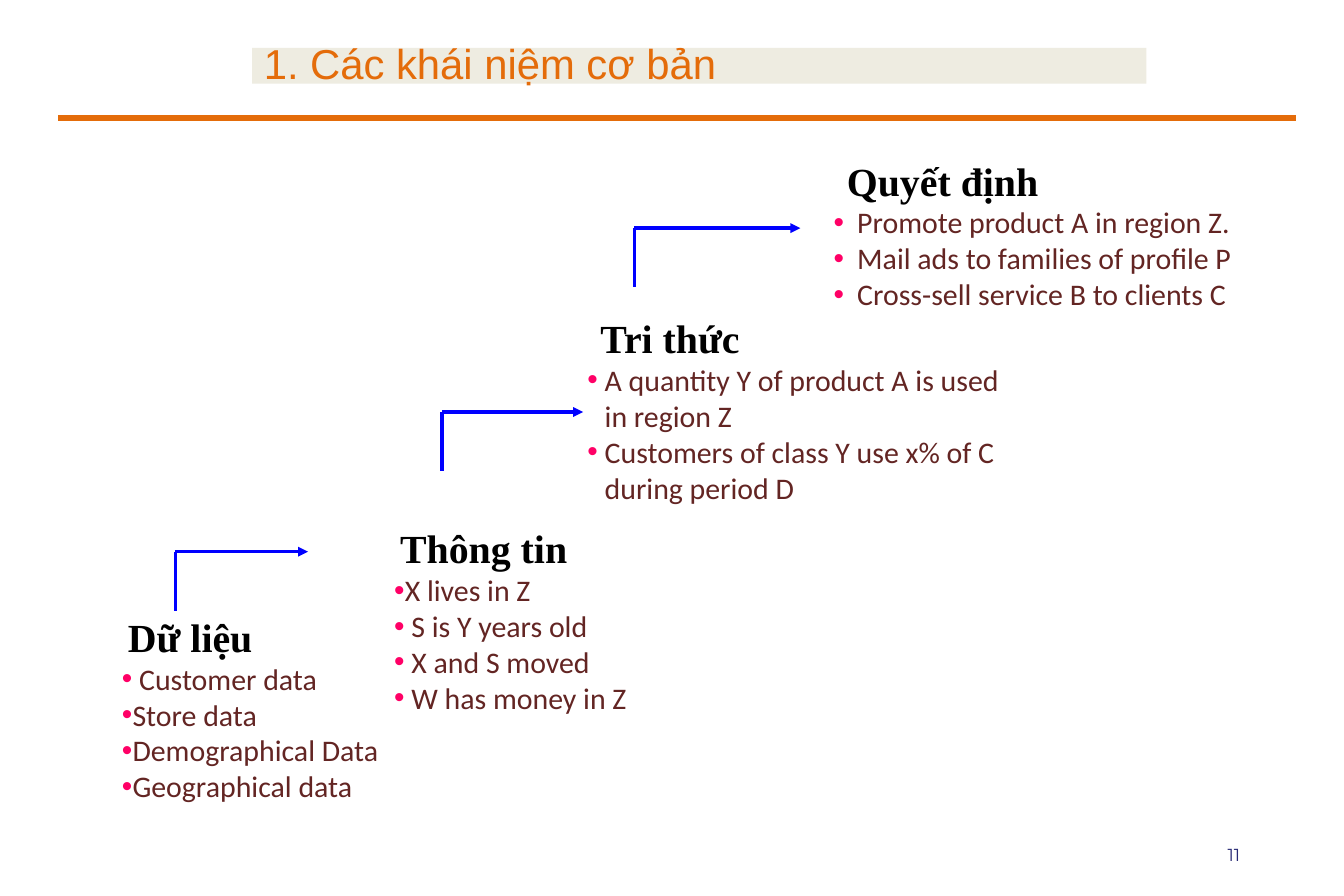
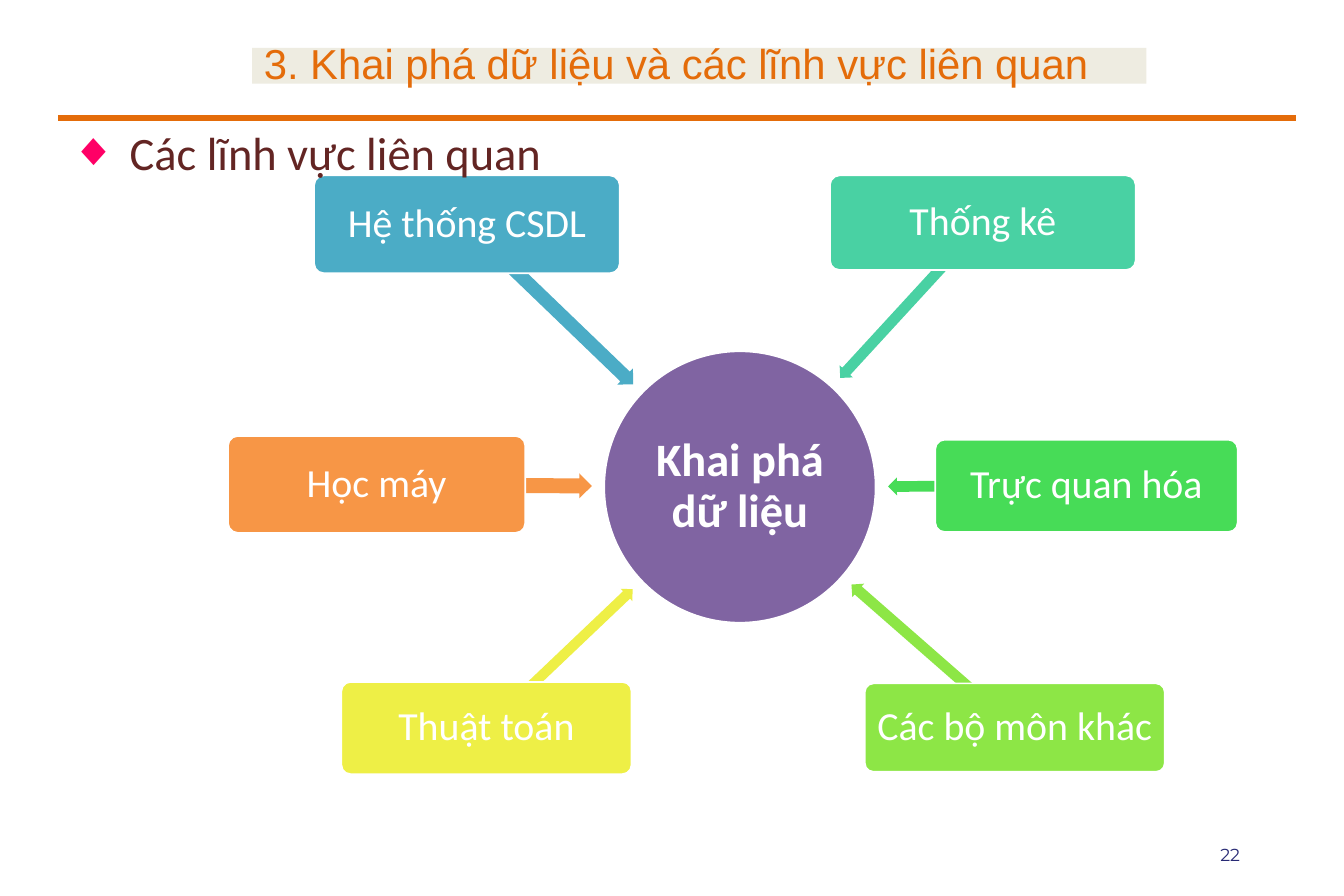
from math import atan2, degrees, hypot

from lxml import etree
from pptx import Presentation
from pptx.dml.color import RGBColor
from pptx.enum.shapes import MSO_CONNECTOR, MSO_SHAPE
from pptx.enum.text import MSO_ANCHOR, PP_ALIGN
from pptx.oxml.ns import qn
from pptx.util import Cm, Pt

RECT, ROUND = MSO_SHAPE.RECTANGLE, MSO_SHAPE.ROUNDED_RECTANGLE
OVAL, ARROW = MSO_SHAPE.OVAL, MSO_SHAPE.LEFT_ARROW
STRAIGHT = MSO_CONNECTOR.STRAIGHT
TOP, MIDDLE = MSO_ANCHOR.TOP, MSO_ANCHOR.MIDDLE
LEFT, CENTER, RIGHT = PP_ALIGN.LEFT, PP_ALIGN.CENTER, PP_ALIGN.RIGHT
JUSTIFY = PP_ALIGN.JUSTIFY

COLORS = {
    "orange": "E46C0A", "band": "EEECE1", "navy": "282A75", "black": "000000",
    "brown": "632523", "pink": "FF0066", "blue": "0000FF", "white": "FFFFFF",
    "purple": "8064A2", "teal": "4BACC6", "mint": "49D1A3", "green": "47DC57",
    "lime": "8DE646", "yellow": "EEEF46", "amber": "F79646",
}


def rgb(name):
    return RGBColor.from_string(COLORS[name])


class Deck:
    def __init__(self):
        self.prs = Presentation()
        self.prs.slide_width, self.prs.slide_height = Cm(28.58), Cm(19.05)
        self.s = None

    def slide(self, title, number):
        self.s = self.prs.slides.add_slide(self.prs.slide_layouts[6])
        tf = self.textbox(20.19, 17.65, 6.43, 1.02, MIDDLE)
        self.run(tf.paragraphs[0], number, "Montserrat", 10.5, "navy", align=RIGHT)
        sp = self.shape(RECT, 5.36, 1.02, 19.02, 0.76, "band")
        self.run(sp.text_frame.paragraphs[0], title, "Arial", 25.2, "orange",
                 align=JUSTIFY, spacing=0.9)
        self.line(1.24, 2.51, 27.56, 2.51, "orange", 4)

    def textbox(self, x, y, w, h, anchor=TOP):
        tf = self.s.shapes.add_textbox(Cm(x), Cm(y), Cm(w), Cm(h)).text_frame
        tf.word_wrap = True
        tf.vertical_anchor = anchor
        return tf

    def shape(self, kind, x, y, w, h, fill, outline=None):
        sp = self.s.shapes.add_shape(kind, Cm(x), Cm(y), Cm(w), Cm(h))
        sp.shadow.inherit = False
        sp.fill.solid()
        sp.fill.fore_color.rgb = rgb(fill)
        if outline:
            sp.line.color.rgb = rgb(outline)
            sp.line.width = Pt(1)
        else:
            sp.line.fill.background()
        sp.text_frame.word_wrap = True
        sp.text_frame.vertical_anchor = MIDDLE
        return sp

    def run(self, p, text, font, size, color, bold=False, align=LEFT, spacing=None):
        p.alignment = align
        if spacing:
            p.line_spacing = spacing
        r = p.add_run()
        r.text = text
        r.font.name, r.font.size, r.font.bold = font, Pt(size), bold
        r.font.color.rgb = rgb(color)

    def indent(self, p, left, first=0):
        pPr = p._p.get_or_add_pPr()
        pPr.set("marL", str(Cm(left)))
        pPr.set("indent", str(Cm(first)))
        return pPr

    def bullet(self, p, text, size, hang, mark="•"):
        pPr = self.indent(p, hang, -hang)
        clr = etree.SubElement(pPr, qn("a:buClr"))
        etree.SubElement(clr, qn("a:srgbClr")).set("val", COLORS["pink"])
        etree.SubElement(pPr, qn("a:buFont")).set("typeface", "Arial")
        etree.SubElement(pPr, qn("a:buChar")).set("char", mark)
        self.run(p, text, "Calibri", size, "brown")

    def line(self, x1, y1, x2, y2, color, width, arrow=False):
        c = self.s.shapes.add_connector(STRAIGHT, Cm(x1), Cm(y1), Cm(x2), Cm(y2))
        c.line.color.rgb = rgb(color)
        c.line.width = Pt(width)
        if arrow:
            ln = c.line._get_or_add_ln()
            etree.SubElement(ln, qn("a:tailEnd")).set("type", "triangle")
        etree.SubElement(c._element.spPr, qn("a:effectLst"))

    def step(self, x, y, end, rise=1.25):
        self.line(x, y, x, y - rise, "blue", 2)
        self.line(x, y - rise, end, y - rise, "blue", 2, arrow=True)

    def stage(self, x, y, w, h, heading, offset, items):
        tf = self.textbox(x, y, w, h)
        p = tf.paragraphs[0]
        self.indent(p, offset)
        self.run(p, heading, "Times New Roman", 24, "black", bold=True)
        for text, hang in items:
            self.bullet(tf.add_paragraph(), text, 18, hang)

    def node(self, kind, x, y, w, h, fill, text, size, inset, bold=False):
        sp = self.shape(kind, x, y, w, h, fill, "white")
        if kind == ROUND:
            sp.adjustments[0] = 0.1
        tf = sp.text_frame
        tf.margin_left = tf.margin_right = tf.margin_top = tf.margin_bottom = Cm(inset)
        self.run(tf.paragraphs[0], text, "Calibri", size, "white", bold, CENTER, 0.9)

    def spoke(self, start, hub, gap, thick, fill):
        dx, dy = hub[0] - start[0], hub[1] - start[1]
        dist = hypot(dx, dy)
        length = dist - gap
        cx = start[0] + dx / dist * length / 2
        cy = start[1] + dy / dist * length / 2
        sp = self.shape(ARROW, cx - length / 2, cy - thick / 2, length, thick, fill)
        sp.adjustments[0], sp.adjustments[1] = 0.6, 0.5
        sp.rotation = (degrees(atan2(dy, dx)) + 180) % 360


def concepts(deck):
    deck.slide("1. Các khái niệm cơ bản", "11")
    tight, loose, wide = 0.23, 0.37, 0.5
    deck.stage(2.34, 12.9, 7.06, 4.34, "Dữ liệu", 0.13, [
        ("Customer data", loose), ("Store data", tight),
        ("Demographical Data", tight), ("Geographical data", tight)])
    deck.stage(8.13, 11.02, 7.37, 4.34, "Thông tin", 0.13, [
        ("X lives in Z", tight), ("S is Y years old", loose),
        ("X and S moved", loose), ("W has money in Z", loose)])
    deck.stage(12.24, 6.55, 9.55, 4.34, "Tri thức", 0.28, [
        ("A quantity Y of product A is used in region Z", loose),
        ("Customers of class Y use x% of C during period D", loose)])
    deck.stage(17.48, 3.2, 9.4, 3.58, "Quyết định", 0.28, [
        ("Promote product A in region Z.", wide),
        ("Mail ads to families of profile P", wide),
        ("Cross-sell service B to clients C", wide)])
    for x, y, end in ((3.73, 12.98, 6.55), (9.4, 10.01, 12.4), (13.49, 6.1, 17.02)):
        deck.step(x, y, end)


def related_fields(deck):
    deck.slide("3. Khai phá dữ liệu và các lĩnh vực liên quan", "22")
    x, y, size = 12.85, 7.47, 5.77
    hub = (x + size / 2, y + size / 2)
    deck.node(OVAL, x, y, size, size, "purple", "Khai phá dữ liệu", 28, 0.05, True)
    fields = [
        (6.68, 3.73, 6.5, 2.08, "teal", "Hệ thống CSDL", 0.48),
        (17.65, 3.73, 6.5, 2.01, "mint", "Thống kê", 0.38),
        (19.89, 9.35, 6.43, 1.96, "green", "Trực quan hóa", 0.38),
        (18.39, 14.53, 6.38, 1.88, "lime", "Các bộ môn khác", 0.38),
        (7.26, 14.5, 6.17, 1.96, "yellow", "Thuật toán", 0.36),
        (4.85, 9.27, 6.32, 2.06, "amber", "Học máy", 0.53),
    ]
    for x, y, w, h, fill, text, thick in fields:
        deck.spoke((x + w / 2, y + h / 2), hub, 3.15, thick, fill)
        deck.node(ROUND, x, y, w, h, fill, text, 24, 0.13)
    tf = deck.textbox(1.24, 2.51, 11.5, 1.45)
    deck.bullet(tf.paragraphs[0], "Các lĩnh vực liên quan", 28, 1.27, "◆")


def main():
    deck = Deck()
    concepts(deck)
    related_fields(deck)
    deck.prs.save("out.pptx")


if __name__ == "__main__":
    main()
